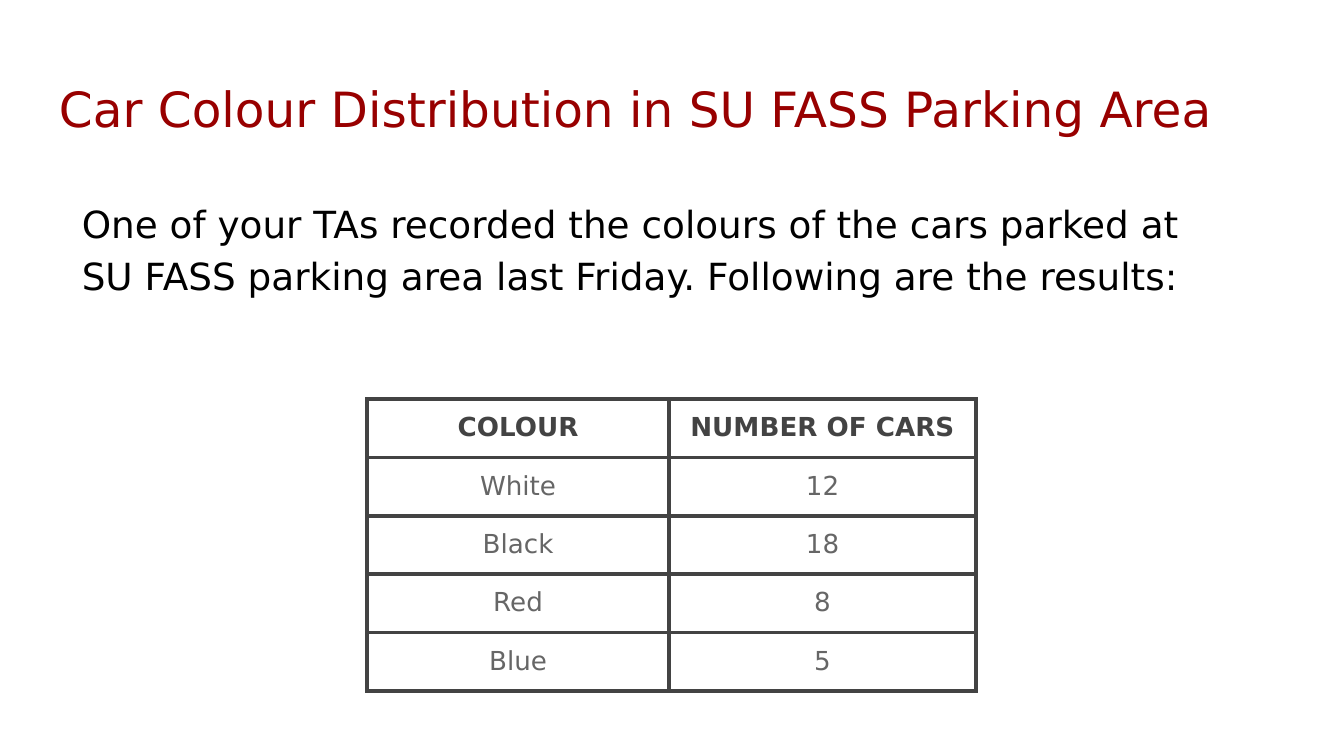
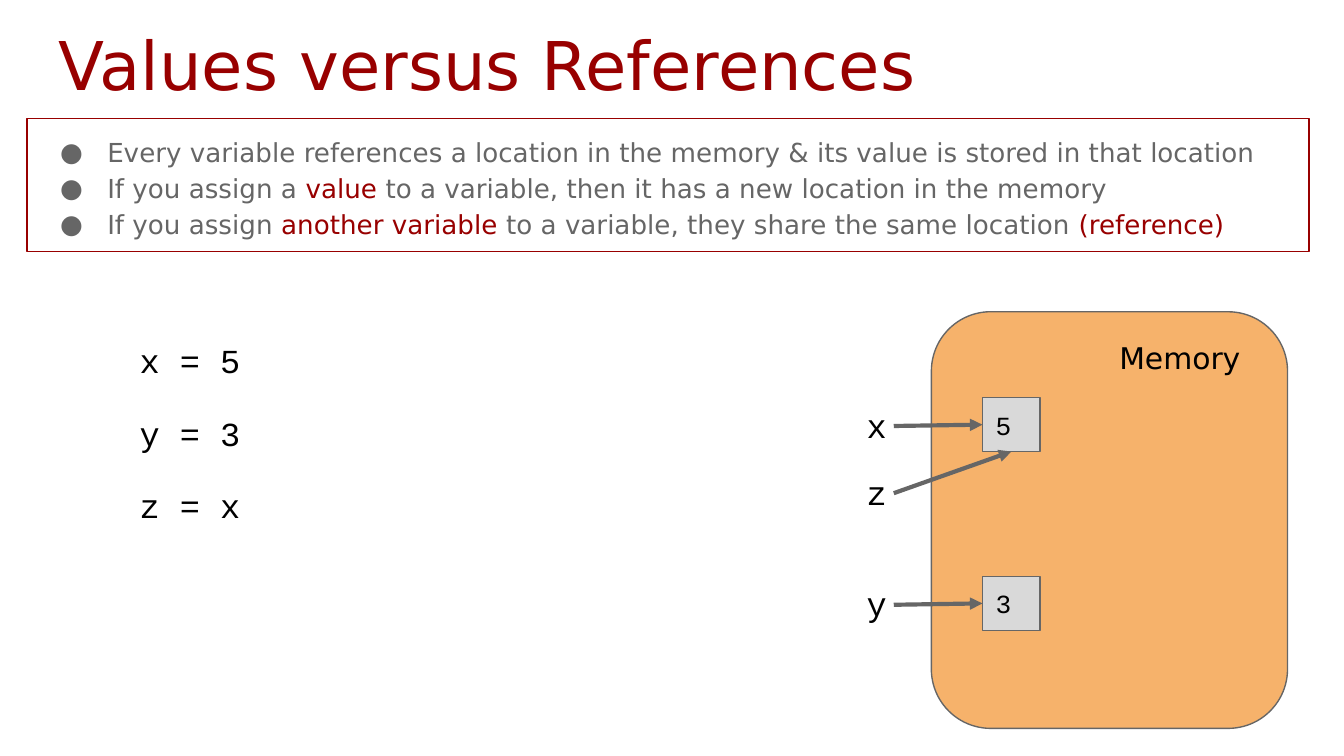
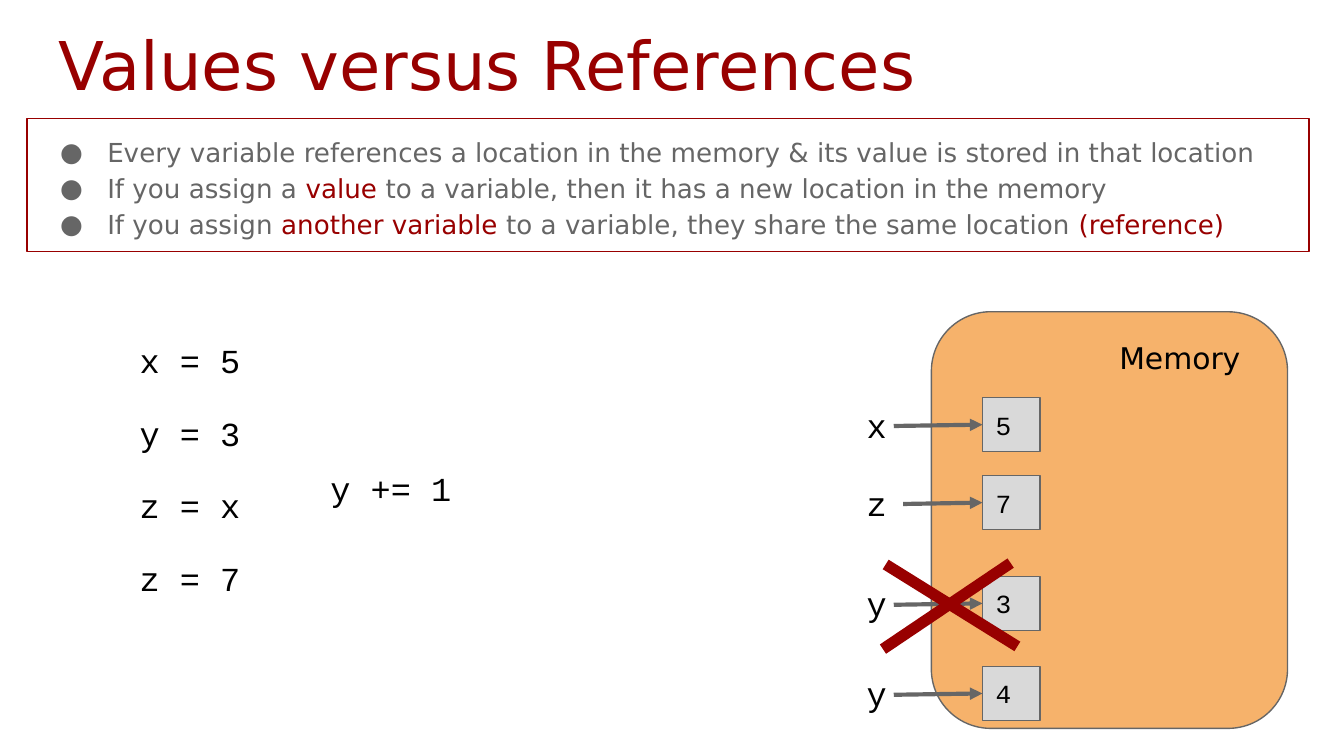
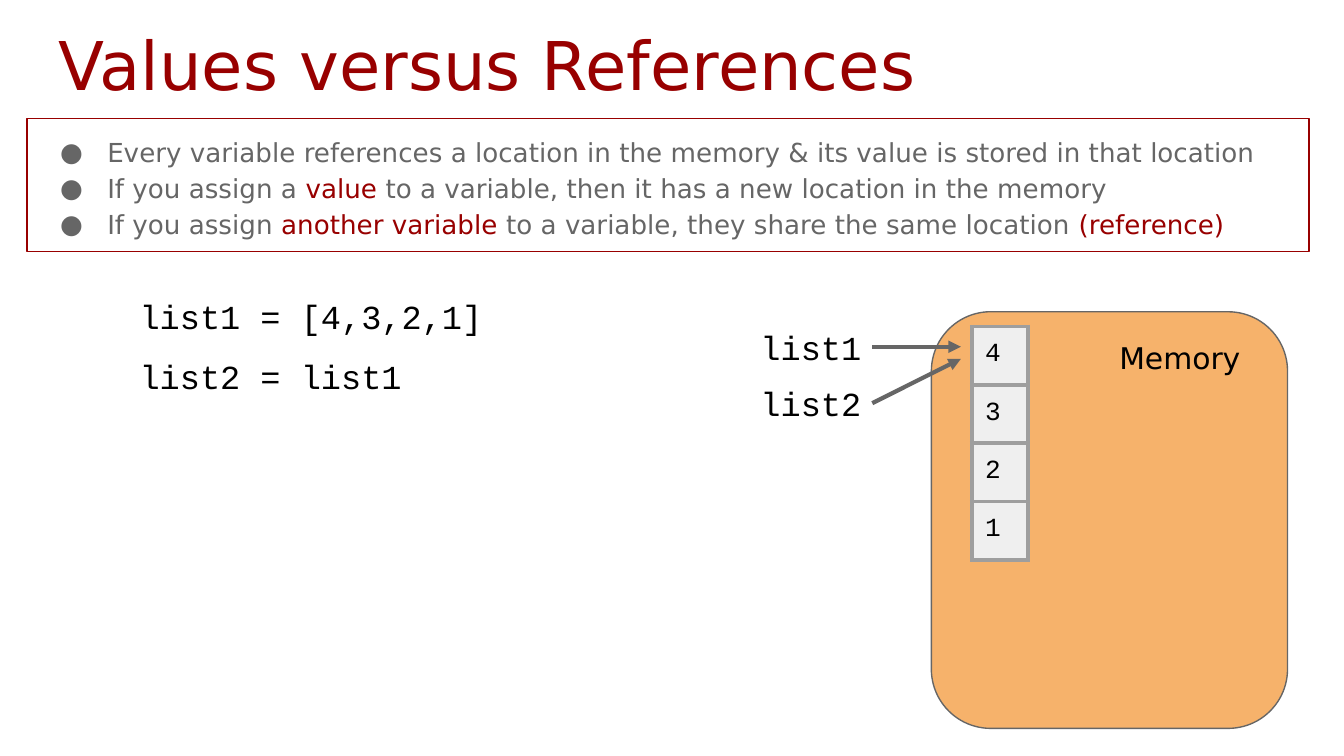
import pptx
import pptx.dml.color
import pptx.enum.shapes
import pptx.enum.text
import pptx.oxml.ns
import pptx.util
from lxml import etree

PX = 9144  # one px is a hundredth of an inch
COLORS = {
    "title": "980000", "ink": "000000", "grey": "666666", "dark": "434343",
    "memory": "F6B26B", "cell": "D9D9D9", "list": "EFEFEF", "list_line": "9E9E9E",
}
SANS, MONO = "DejaVu Sans", "Courier New"
SHAPE = pptx.enum.shapes.MSO_SHAPE
ALIGN = pptx.enum.text.PP_ALIGN
ANCHOR = pptx.enum.text.MSO_ANCHOR
qn = pptx.oxml.ns.qn

MEMORY_BOX = (693, 232, 265, 310)
RULES = [
    [("Every variable references a location in the memory & its value is stored in that location", "grey")],
    [("If you assign a ", "grey"), ("value", "title"),
     (" to a variable, then it has a new location in the memory", "grey")],
    [("If you assign ", "grey"), ("another variable", "title"),
     (" to a variable, they share the same location ", "grey"), ("(reference)", "title")],
]


def px(*lengths):
    return [pptx.util.Emu(n * PX) for n in lengths]


def rgb(name):
    return pptx.dml.color.RGBColor.from_string(COLORS[name])


def style(r, size, color, font, bold=False):
    r.font.size = pptx.util.Pt(size)
    r.font.name = font
    r.font.bold = bold
    r.font.color.rgb = rgb(color)


def set_frame(tf, anchor=ANCHOR.TOP):
    tf.word_wrap = True
    tf.vertical_anchor = anchor
    tf.margin_left = tf.margin_right = tf.margin_top = tf.margin_bottom = px(10)[0]


def write(tf, text, size, color="ink", font=MONO, bold=False, align=ALIGN.LEFT):
    tf.text = text
    p = tf.paragraphs[0]
    p.alignment = align
    style(p.runs[0], size, color, font, bold)
    return p


def add_text(slide, box, text, size, color="ink", font=MONO):
    sp = slide.shapes.add_textbox(*px(*box))
    set_frame(sp.text_frame)
    return write(sp.text_frame, text, size, color, font)


def add_box(slide, kind, box, fill, line):
    sp = slide.shapes.add_shape(kind, *px(*box))
    sp.shadow.inherit = False
    if fill:
        sp.fill.solid()
        sp.fill.fore_color.rgb = rgb(fill)
    else:
        sp.fill.background()
    sp.line.color.rgb = rgb(line)
    sp.line.width = pptx.util.Pt(0.75)
    return sp


def add_line(slide, start, end, color="grey", width=2.25, arrow=True):
    cx = slide.shapes.add_connector(
        pptx.enum.shapes.MSO_CONNECTOR.STRAIGHT, *px(*start, *end))
    cx.line.color.rgb = rgb(color)
    cx.line.width = pptx.util.Pt(width)
    if arrow:
        etree.SubElement(cx.line._get_or_add_ln(), qn("a:tailEnd"), type="triangle")
    etree.SubElement(cx._element.spPr, qn("a:effectLst"))
    return cx


def set_borders(cell, color, width=2.25):
    tc_pr = cell._tc.get_or_add_tcPr()
    for side in ("a:lnL", "a:lnR", "a:lnT", "a:lnB"):
        ln = etree.SubElement(tc_pr, qn(side), w=str(pptx.util.Pt(width)))
        fill = etree.SubElement(ln, qn("a:solidFill"))
        etree.SubElement(fill, qn("a:srgbClr"), val=COLORS[color])


def add_grid(slide, corner, widths, row_height, rows, border, fill=None):
    """Bordered table; returns its cells row by row."""
    size = (sum(widths), row_height * len(rows))
    table = slide.shapes.add_table(len(rows), len(widths), *px(*corner, *size)).table
    table.first_row = table.horz_banding = False
    for col, width in zip(table.columns, widths):
        col.width = px(width)[0]
    for row in table.rows:
        row.height = px(row_height)[0]
        for cell in row.cells:
            cell.margin_left = cell.margin_right = px(10)[0]
            cell.margin_top = cell.margin_bottom = px(10)[0]
            set_borders(cell, border)
            if fill:
                cell.fill.solid()
                cell.fill.fore_color.rgb = rgb(fill)
            else:
                cell.fill.background()
    return [list(row.cells) for row in table.rows]


def add_title(slide, text, top, size):
    add_text(slide, (34, top, 932, 63), text, size, "title", SANS)


def add_rules(slide, box):
    """Framed bullet list of the assignment rules."""
    tf = add_box(slide, SHAPE.RECTANGLE, box, None, "title").text_frame
    set_frame(tf)
    for i, parts in enumerate(RULES):
        p = tf.paragraphs[0] if i == 0 else tf.add_paragraph()
        p.alignment = ALIGN.LEFT
        p.line_spacing = 1.15
        for text, color in parts:
            r = p.add_run()
            r.text = text
            style(r, 14, color, SANS)
        p_pr = p._p.get_or_add_pPr()
        p_pr.set("marL", str(50 * PX))
        p_pr.set("indent", str(-35 * PX))
        bullet_color = etree.SubElement(p_pr, qn("a:buClr"))
        etree.SubElement(bullet_color, qn("a:srgbClr"), val=COLORS["grey"])
        etree.SubElement(p_pr, qn("a:buFont"), typeface=SANS)
        etree.SubElement(p_pr, qn("a:buChar"), char="●")


def add_code(slide, box, step, lines):
    x, y, w, h = box
    for i, line in enumerate(lines):
        add_text(slide, (x, y + i * step, w, h), line, 18)


def add_memory(slide, box):
    x, y, w, h = box
    add_box(slide, SHAPE.ROUNDED_RECTANGLE, box, "memory", "grey")
    add_text(slide, (x + 130, y + 11, 112, 43), "Memory", 16, font=SANS)


def add_value(slide, box, dy, value):
    """Memory cell, dy below the top of the memory box."""
    sp = add_box(slide, SHAPE.RECTANGLE, (box[0] + 38, box[1] + dy, 43, 40), "cell", "grey")
    set_frame(sp.text_frame, ANCHOR.MIDDLE)
    write(sp.text_frame, value, 14)
    return sp


def add_name(slide, box, dy, name, cell, site=1, gap=28):
    """Variable name left of the memory box, with an arrow to its cell."""
    x, y = box[0], box[1] + dy
    cx = add_line(slide, (x - gap, y + 26), (x + 38, y + 25))
    cx.end_connect(cell, site)
    add_text(slide, (x - 58, y, 43, 46), name, 18)


def add_variable(slide, box, dy, name, value, gap=28):
    cell = add_value(slide, box, dy, value)
    add_name(slide, box, dy - 5, name, cell, gap=gap)
    return cell


def add_cross(slide, box):
    x, y, w, h = box
    add_line(slide, (x, y), (x + w, y + h), "title", 6, arrow=False)
    add_line(slide, (x + w - 5, y - 1), (x - 2, y + h + 2), "title", 6, arrow=False)


def new_slide(prs):
    return prs.slides.add_slide(prs.slide_layouts[6])


def reference_slide(prs):
    slide = new_slide(prs)
    add_title(slide, "Values versus References", 7, 36)
    add_rules(slide, (20, 88, 954, 99))
    add_memory(slide, MEMORY_BOX)
    return slide


def colour_slide(prs):
    slide = new_slide(prs)
    add_title(slide, "Car Colour Distribution in SU FASS Parking Area", 49, 26)
    p = add_text(slide, (51, 135, 881, 124),
                 "One of your TAs recorded the colours of the cars parked at SU FASS "
                 "parking area last Friday. Following are the results:", 20, font=SANS)
    p.line_spacing = 1.15
    rows = [("COLOUR", "NUMBER OF CARS"), ("White", "12"), ("Black", "18"),
            ("Red", "8"), ("Blue", "5")]
    cells = add_grid(slide, (273, 297), (225, 228), 42, rows, "dark")
    for i, (row, texts) in enumerate(zip(cells, rows)):
        for cell, text in zip(row, texts):
            write(cell.text_frame, text, 14, "grey" if i else "dark", SANS,
                  bold=i == 0, align=ALIGN.CENTER)


def shared_value_slide(prs):
    slide = reference_slide(prs)
    add_code(slide, (94, 243, 101, 53), 54, ["x = 5", "y = 3", "z = x"])
    five = add_variable(slide, MEMORY_BOX, 64, "x", "5")
    add_variable(slide, MEMORY_BOX, 197, "y", "3")
    add_name(slide, MEMORY_BOX, 109, "z", five, site=2)


def new_value_slide(prs):
    slide = reference_slide(prs)
    add_code(slide, (94, 243, 101, 53), 54, ["x = 5", "y = 3", "z = x", "z = 7"])
    add_code(slide, (236, 338, 148, 53), 54, ["y += 1"])
    add_variable(slide, MEMORY_BOX, 64, "x", "5")
    add_variable(slide, MEMORY_BOX, 122, "z", "7", gap=21)
    add_variable(slide, MEMORY_BOX, 197, "y", "3")
    add_variable(slide, MEMORY_BOX, 264, "y", "4")
    add_cross(slide, (659, 420, 98, 61))


def list_slide(prs):
    slide = reference_slide(prs)
    add_code(slide, (94, 210, 287, 53), 45, ["list1 = [4,3,2,1]", "list2 = list1"])
    values = ["4", "3", "2", "1"]
    x, y = MEMORY_BOX[:2]
    cells = add_grid(slide, (x + 30, y + 11), (42,), 41, values, "list_line", "list")
    for (cell,), value in zip(cells, values):
        write(cell.text_frame, value, 14)
    # Both names point at the first item
    for name, dy, tip in (("list1", 1, 26), ("list2", 43, 35)):
        add_line(slide, (x - 44, y + dy + 25), (x + 22, y + tip))
        add_text(slide, (x - 137, y + dy, 105, 46), name, 18)


def main():
    prs = pptx.Presentation()
    prs.slide_width = px(1000)[0]
    prs.slide_height = prs.slide_width * 9 // 16
    colour_slide(prs)
    shared_value_slide(prs)
    new_value_slide(prs)
    list_slide(prs)
    prs.save("out.pptx")


if __name__ == "__main__":
    main()
